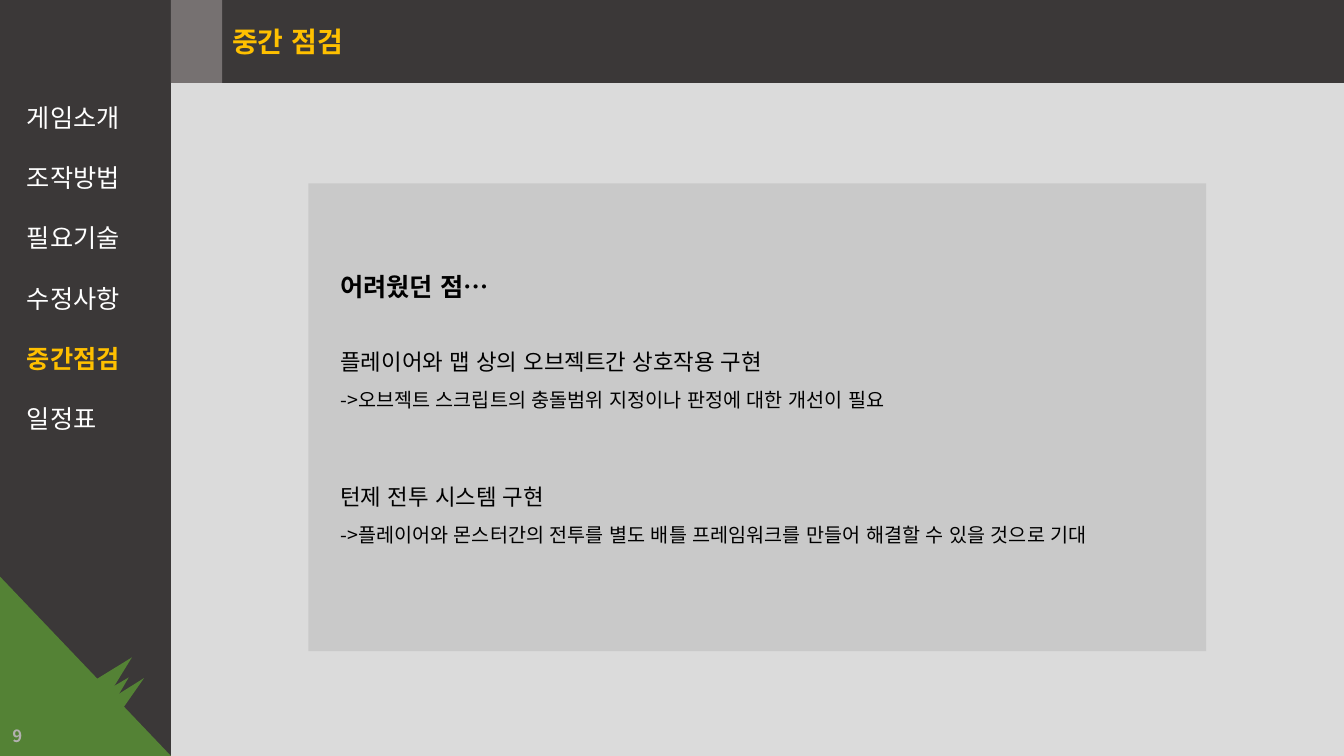
import pptx
import pptx.dml.color
import pptx.enum.lang
import pptx.enum.shapes
import pptx.enum.text
import pptx.oxml.ns
import pptx.util
from lxml import etree

Cm = pptx.util.Cm
Pt = pptx.util.Pt
SHAPE = pptx.enum.shapes.MSO_SHAPE
ALIGN = pptx.enum.text.PP_ALIGN
ANCHOR = pptx.enum.text.MSO_ANCHOR

FONT = "Noto Sans CJK KR"
DARK, GOLD, GREEN = "3B3838", "FFC000", "548235"
WIDTH, HEIGHT = 33.87, 19.05
SIDEBAR_WIDTH, HEADER_HEIGHT = 4.31, 2.09

MENU = ["게임소개", "조작방법", "필요기술", "수정사항", "중간점검", "일정표"]
CURRENT = "중간점검"

# text, size, bold, space before
REVIEW = [
    ("어려웠던 점…", 18, True, 0),
    ("플레이어와 맵 상의 오브젝트간 상호작용 구현", 16, False, 33),
    ("->오브젝트 스크립트의 충돌범위 지정이나 판정에 대한 개선이 필요", 14, False, 9.3),
    ("턴제 전투 시스템 구현", 16, False, 51),
    ("->플레이어와 몬스터간의 전투를 별도 배틀 프레임워크를 만들어 해결할 수 있을 것으로 기대",
     14, False, 9.3),
]

# left, top, width, height, apex position
GRASS_BLADES = [
    (2.69, 16.41, 0.51, 1.07, 0.5),
    (3.12, 16.94, 0.36, 0.89, 0.565),
    (2.82, 16.97, 0.36, 0.69, 0.5),
]


def rgb(color):
    return pptx.dml.color.RGBColor.from_string(color)


def add_block(shapes, kind, left, top, width, height, color):
    block = shapes.add_shape(kind, Cm(left), Cm(top), Cm(width), Cm(height))
    block.shadow.inherit = False
    block.fill.solid()
    block.fill.fore_color.rgb = rgb(color)
    block.line.fill.background()
    return block


def add_text_area(slide, left, top, width, height, inset_top=0.13):
    area = slide.shapes.add_textbox(Cm(left), Cm(top), Cm(width), Cm(height))
    area.text_frame.word_wrap = True
    area.text_frame.margin_top = Cm(inset_top)
    return area.text_frame


def write(frame, text, size=18, color="000000", bold=False, align=ALIGN.LEFT, before=0):
    """Fill the frame's empty first paragraph, or append a new one."""
    first = frame.paragraphs[0]
    paragraph = frame.add_paragraph() if first.runs else first
    paragraph.alignment = align
    paragraph.space_before = Pt(before)
    run = paragraph.add_run()
    run.text = text
    run.font.size = Pt(size)
    run.font.bold = bold
    run.font.color.rgb = rgb(color)
    run.font.language_id = pptx.enum.lang.MSO_LANGUAGE_ID.KOREAN
    run.font.name = FONT
    east_asian = etree.SubElement(run.font._element, pptx.oxml.ns.qn("a:ea"))
    east_asian.set("typeface", FONT)


def add_menu(slide):
    add_block(slide.shapes, SHAPE.RECTANGLE, 0, 0, SIDEBAR_WIDTH, HEIGHT, DARK)
    menu = add_text_area(slide, 0.43, 2.44, 3.45, 8.71)
    for index, item in enumerate(MENU):
        current = item == CURRENT
        write(menu, item, color=GOLD if current else "FFFFFF", bold=current,
              before=21.5 if index else 0)


def add_header(slide):
    left = 5.6
    header = add_block(slide.shapes, SHAPE.RECTANGLE, left, 0, WIDTH - left,
                       HEADER_HEIGHT, DARK)
    header.text_frame.vertical_anchor = ANCHOR.MIDDLE
    write(header.text_frame, "중간 점검", size=20, color=GOLD, bold=True,
          align=ALIGN.JUSTIFY)
    add_block(slide.shapes, SHAPE.RECTANGLE, SIDEBAR_WIDTH, 0, left - SIDEBAR_WIDTH,
              HEADER_HEIGHT, "767171")


def add_grass(slide):
    grass = slide.shapes.add_group_shape().shapes
    add_block(grass, SHAPE.RIGHT_TRIANGLE, 0, 14.53, SIDEBAR_WIDTH, 4.52, GREEN)
    for left, top, width, height, apex in GRASS_BLADES:
        blade = add_block(grass, SHAPE.ISOSCELES_TRIANGLE, left, top, width, height, GREEN)
        blade.rotation = 45
        blade.adjustments[0] = apex


def add_page_number(slide):
    page = add_text_area(slide, 0, 18.03, 0.81, 1.02)
    page.vertical_anchor = ANCHOR.MIDDLE
    write(page, "9", size=12, color="B3B0B0", bold=True, align=ALIGN.RIGHT)


def add_review(slide):
    add_block(slide.shapes, SHAPE.RECTANGLE, 7.77, 4.62, 22.63, 11.79, "C9C9C9")
    review = add_text_area(slide, 8.33, 5.44, 21.51, 10.08, inset_top=1.4)
    for text, size, bold, before in REVIEW:
        write(review, text, size=size, bold=bold, before=before)


def main():
    deck = pptx.Presentation()
    deck.slide_width, deck.slide_height = Cm(WIDTH), Cm(HEIGHT)
    slide = deck.slides.add_slide(deck.slide_layouts[6])
    slide.background.fill.solid()
    slide.background.fill.fore_color.rgb = rgb("DBDBDB")
    add_menu(slide)
    add_header(slide)
    add_grass(slide)
    add_page_number(slide)
    add_review(slide)
    deck.save("out.pptx")


if __name__ == "__main__":
    main()
